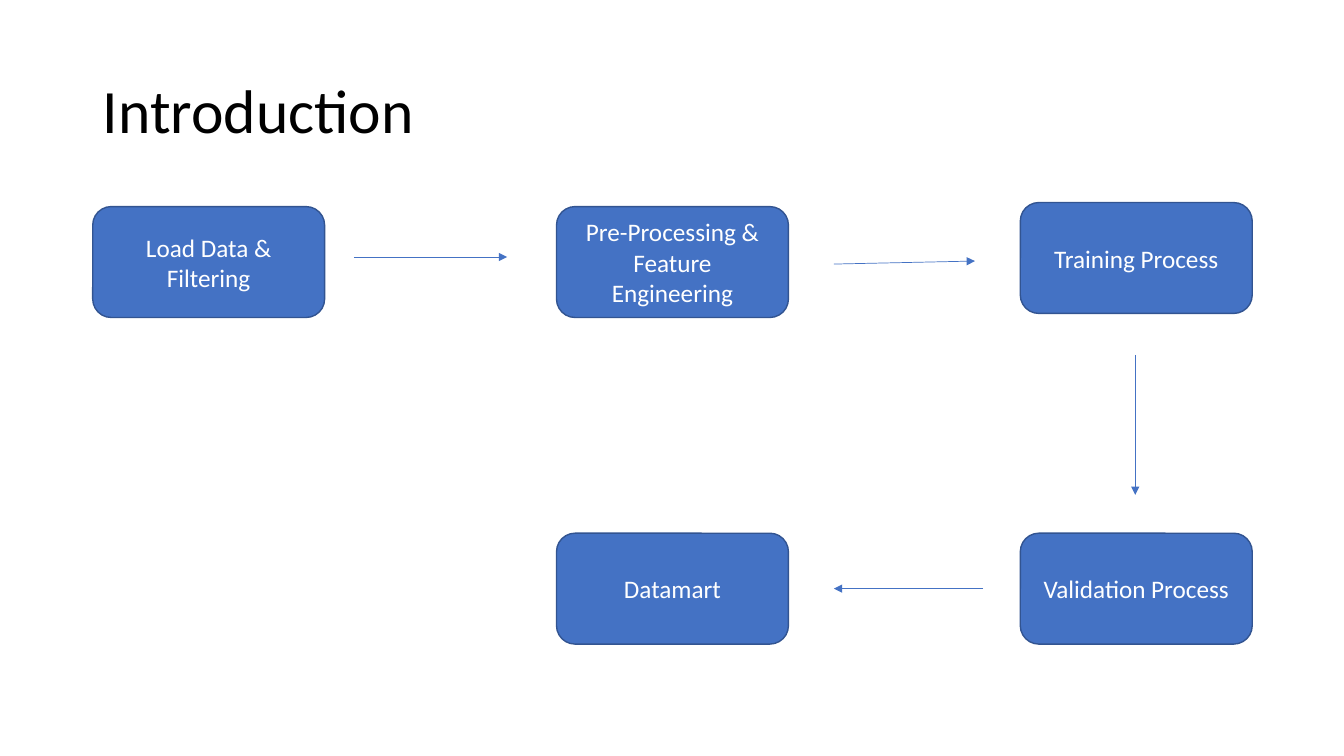
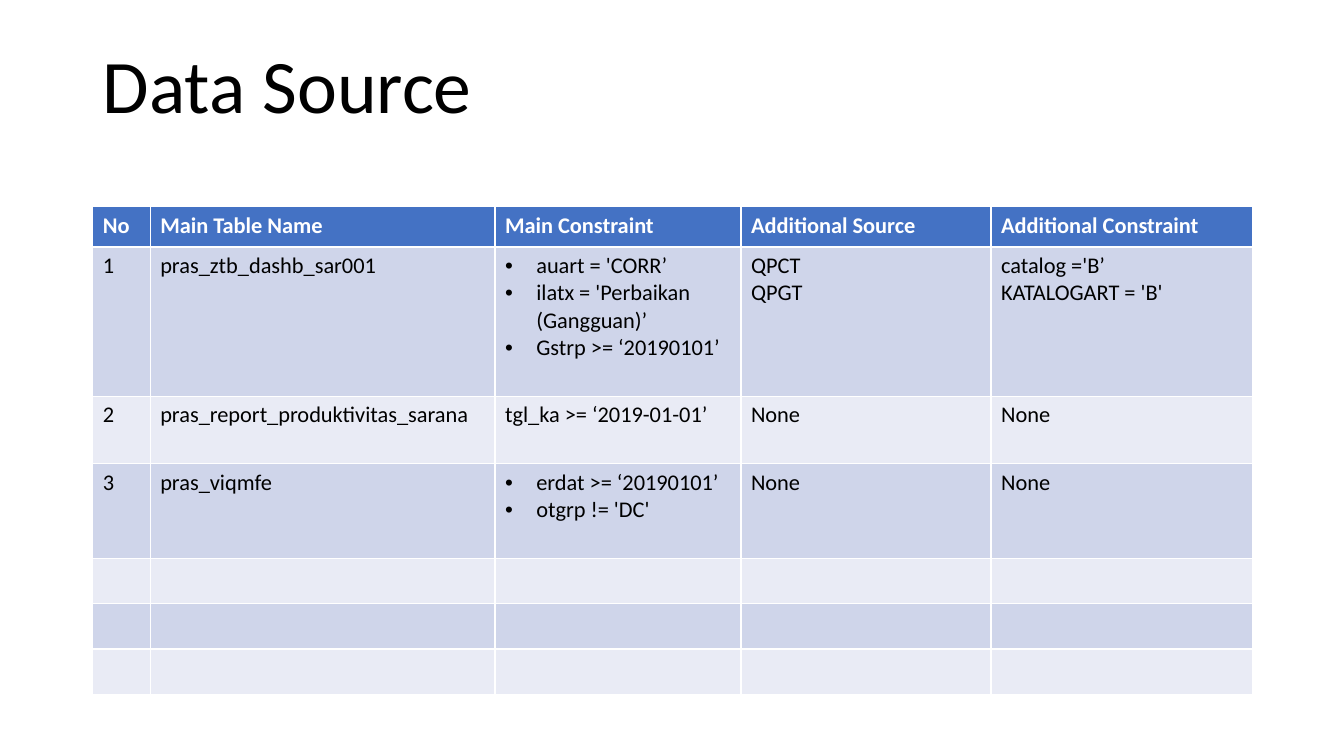
"""Two slides: a process flow and a table of data sources."""
from lxml.etree import SubElement
from pptx import Presentation
from pptx.dml.color import RGBColor
from pptx.enum.shapes import MSO_CONNECTOR, MSO_SHAPE
from pptx.enum.text import MSO_ANCHOR, MSO_AUTO_SIZE, PP_ALIGN
from pptx.oxml.ns import qn
from pptx.util import Inches, Pt

BLUE = RGBColor(0x44, 0x72, 0xC4)
OUTLINE = RGBColor(0x32, 0x54, 0x91)
BAND_DARK = RGBColor(0xCF, 0xD5, 0xEA)
BAND_LIGHT = RGBColor(0xE9, 0xEB, 0xF5)
BLACK = RGBColor(0, 0, 0)
WHITE = RGBColor(0xFF, 0xFF, 0xFF)
FONT = "Calibri"
SLIDE_W, SLIDE_H = 13.33, 7.5
LEFT, WIDTH, BODY_TOP = 0.92, 11.5, 2.05
BULLET_INDENT = 0.31

STEPS = [
    ("Load Data & Filtering", 0, 0, 0),
    ("Pre-Processing & Feature Engineering", 1, 0, 0),
    ("Training Process", 2, 0, -0.04),
    ("Validation Process", 2, 1, 0),
    ("Datamart", 1, 1, 0),
]
ARROWS = [
    (2.59, 0.5, 4.11, 0.5),
    (7.35, 0.57, 8.75, 0.54),
    (10.34, 1.47, 10.34, 2.86),
    (8.83, 3.79, 7.35, 3.79),
]
COLUMN_WIDTHS = [0.57, 3.42, 2.44, 2.48, 2.59]
ROW_HEIGHTS = [0.4, 1.48, 0.67, 0.94, 0.45, 0.45, 0.45]
SOURCES = [
    ["No", "Main Table Name", "Main Constraint", "Additional Source", "Additional Constraint"],
    ["1", "pras_ztb_dashb_sar001",
     ["• auart = 'CORR’", "• ilatx = 'Perbaikan (Gangguan)’", "• Gstrp >= ‘20190101’"],
     ["QPCT", "QPGT"], ["catalog ='B’", "KATALOGART = 'B'"]],
    ["2", "pras_report_produktivitas_sarana", "tgl_ka >= ‘2019-01-01’", "None", "None"],
    ["3", "pras_viqmfe", ["• erdat >= ‘20190101’", "• otgrp != 'DC'"], "None", "None"],
]


def add_bullet(p):
    """Give a paragraph a bullet and a hanging indent."""
    pPr = p._p.get_or_add_pPr()
    indent = Inches(BULLET_INDENT)
    pPr.set("marL", str(indent))
    pPr.set("indent", str(-indent))
    SubElement(pPr, qn("a:buFont"), typeface="Arial")
    SubElement(pPr, qn("a:buChar"), char="•")


def write(tf, text, size=18, color=BLACK, bold=False, align=PP_ALIGN.LEFT, spacing=None):
    """Fill a text frame with one line or a list of lines; a leading • makes a bullet."""
    lines = [text] if isinstance(text, str) else text
    for i, line in enumerate(lines):
        p = tf.add_paragraph() if i else tf.paragraphs[0]
        p.alignment = align
        if spacing:
            p.line_spacing = spacing
        if line.startswith("• "):
            add_bullet(p)
        r = p.add_run()
        r.text = line.removeprefix("• ")
        r.font.name, r.font.size, r.font.bold = FONT, Pt(size), bold
        r.font.color.rgb = color


def add_titled_slide(prs, title, top, height, size, anchor):
    """Add a slide with its title placeholder placed and formatted."""
    slide = prs.slides.add_slide(prs.slide_layouts[5])
    sp = slide.shapes.title
    sp.left, sp.top, sp.width, sp.height = map(Inches, (LEFT, top, WIDTH, height))
    tf = sp.text_frame
    tf.auto_size, tf.word_wrap, tf.vertical_anchor = MSO_AUTO_SIZE.NONE, True, anchor
    write(tf, title, size=size, spacing=0.9)
    return slide


def add_step(slide, text, left, top, width, height):
    """Add one rounded step of the flow."""
    sp = slide.shapes.add_shape(MSO_SHAPE.ROUNDED_RECTANGLE,
                                *map(Inches, (left, top, width, height)))
    sp.shadow.inherit = False
    sp.fill.solid()
    sp.fill.fore_color.rgb = BLUE
    sp.line.color.rgb = OUTLINE
    sp.line.width = Pt(1)
    tf = sp.text_frame
    tf.word_wrap, tf.vertical_anchor = True, MSO_ANCHOR.MIDDLE
    write(tf, text, color=WHITE, align=PP_ALIGN.CENTER)


def add_arrow(slide, x1, y1, x2, y2):
    """Add a thin arrow from one point to another."""
    line = slide.shapes.add_connector(MSO_CONNECTOR.STRAIGHT, *map(Inches, (x1, y1, x2, y2)))
    line.line.color.rgb = BLUE
    line.line.width = Pt(0.5)
    SubElement(line.line._get_or_add_ln(), qn("a:tailEnd"), type="triangle")
    SubElement(line._element.spPr, qn("a:effectLst"))


def add_flow(slide, left, top, width, height):
    """Lay out the steps on a grid of three columns and two rows, with arrows between."""
    step_w, step_h = width / 5, 1.1
    col_pitch, row_pitch = (width - step_w) / 2, height - step_h
    for text, col, row, shift in STEPS:
        add_step(slide, text, left + col * col_pitch, top + row * row_pitch + shift,
                 step_w, step_h)
    for x1, y1, x2, y2 in ARROWS:
        add_arrow(slide, left + x1, top + y1, left + x2, top + y2)


def add_source_table(slide, left, top, width, height):
    """Add the banded table of sources, with spare rows at its foot."""
    frame = slide.shapes.add_table(len(ROW_HEIGHTS), len(COLUMN_WIDTHS),
                                   *map(Inches, (left, top, width, height)))
    table = frame.table
    for column, share in zip(table.columns, COLUMN_WIDTHS):
        column.width = Inches(width * share / sum(COLUMN_WIDTHS))
    for row, share in zip(table.rows, ROW_HEIGHTS):
        row.height = Inches(height * share / sum(ROW_HEIGHTS))
    for i, row in enumerate(table.rows):
        fill = BLUE if i == 0 else BAND_DARK if i % 2 else BAND_LIGHT
        for j, cell in enumerate(row.cells):
            cell.fill.solid()
            cell.fill.fore_color.rgb = fill
            if i < len(SOURCES):
                write(cell.text_frame, SOURCES[i][j], size=16, bold=i == 0,
                      color=BLACK if i else WHITE)


def main():
    """Build and save the presentation."""
    prs = Presentation()
    prs.slide_width, prs.slide_height = Inches(SLIDE_W), Inches(SLIDE_H)
    intro = add_titled_slide(prs, "Introduction", 0.4, 1.45, 44, MSO_ANCHOR.MIDDLE)
    add_flow(intro, LEFT, BODY_TOP, WIDTH, 4.34)
    data = add_titled_slide(prs, "Data Source", 0.32, 1.02, 54, MSO_ANCHOR.BOTTOM)
    add_source_table(data, LEFT, BODY_TOP, WIDTH, 4.84)
    prs.save("out.pptx")


if __name__ == "__main__":
    main()
